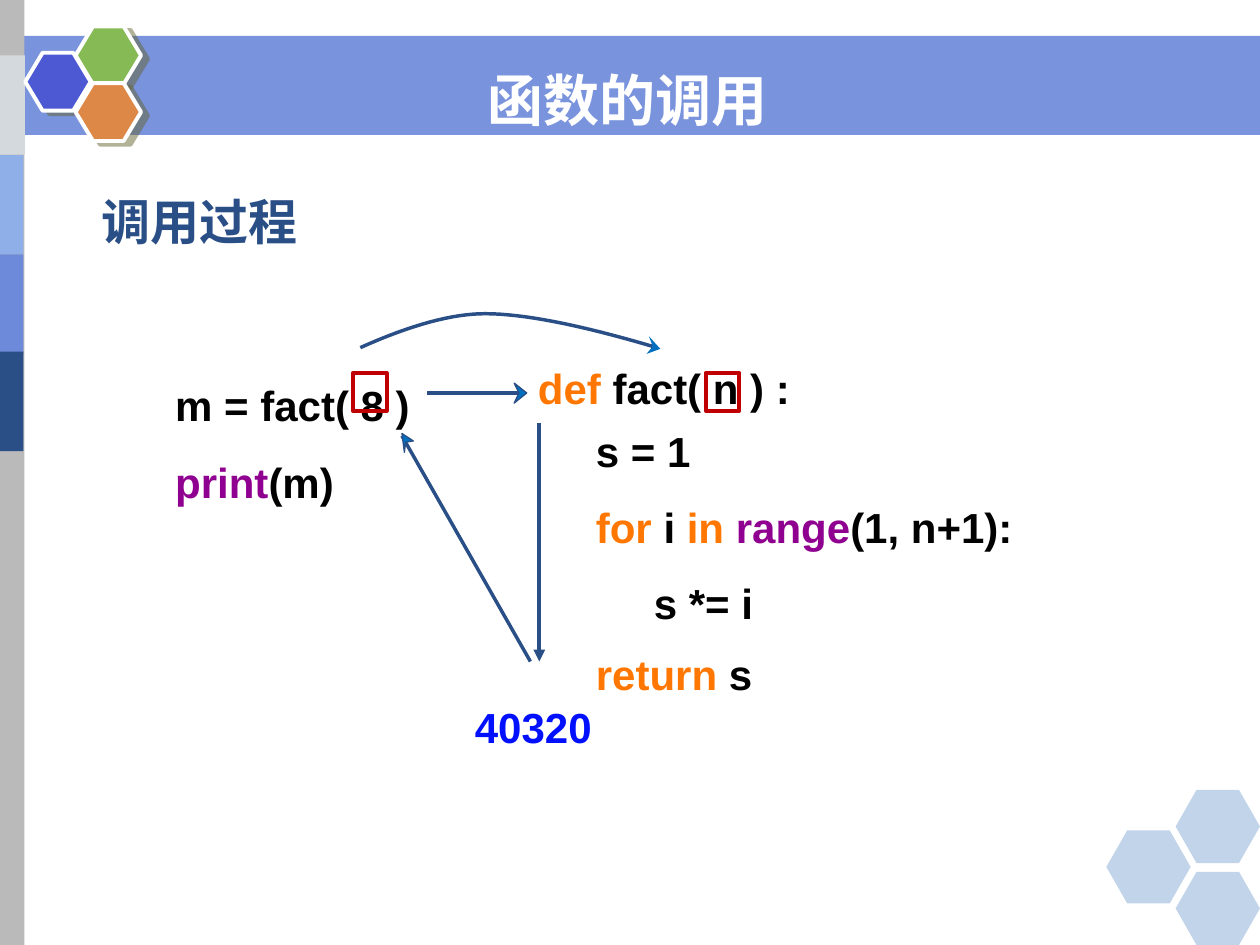
from lxml.etree import SubElement
from pptx import Presentation
from pptx.dml.color import RGBColor
from pptx.enum.shapes import MSO_CONNECTOR, MSO_SHAPE
from pptx.enum.text import MSO_ANCHOR, PP_ALIGN
from pptx.oxml.ns import qn
from pptx.util import Pt

# Content: paragraphs are (runs, format); runs are (text, colour)
NAVY, BLUE, BLACK, WHITE = "2A4F86", "006FC0", "000000", "FFFFFF"
KEYWORD, BUILTIN = "FF7700", "900090"
TITLE = [([("函数的调用", WHITE)], {})]
HEADING = [([("调用过程", NAVY)], {})]
CALLER = [
    ([("m = fact( 8 )", BLACK)], {"line": 1.5}),
    ([("print", BUILTIN), ("(m)", BLACK)], {"line": 1.5, "before": 1}),
]
SIGNATURE = [([("def ", KEYWORD), ("fact( n ) :", BLACK)], {})]
BODY = [
    ([("s = 1", BLACK)], {}),
    ([("for ", KEYWORD), ("i ", BLACK), ("in ", KEYWORD), ("range", BUILTIN),
      ("(1, n+1):", BLACK)], {"line": 1.5}),
    ([("s *= i", BLACK)], {"line": 1.5, "indent": 33.8}),
    ([("return ", KEYWORD), ("s", BLACK)], {"before": 12}),
]
RESULT = [([("40320", "0010FF")], {})]

# Paragraphs, box (left, top, width, height), top inset
CODE_BOXES = [
    (SIGNATURE, (306.7, 206.6, 153.4, 30.2), 0.7),
    (BODY, (339.8, 230.4, 255.6, 170.6), 13),
    (CALLER, (99.4, 201.6, 142.6, 83.5), 0.7),
    (RESULT, (270.7, 400.3, 72, 30.2), 0.7),
]

# Decoration: box, colour, opacity
BANDS = [
    ((0, 20.5, 720, 56.7), "6C89DA", 91),
    ((-1, 0, 15, 540), "BABABA", 100),
    ((0, 31.7, 14.2, 56.7), "D3D9DD", 100),
    ((-1, 88.6, 14.4, 56.7), "8FAFE9", 100),
    ((-1, 145.4, 14.4, 56.7), "6C89DA", 100),
    ((-1, 200.9, 14.4, 56.9), NAVY, 100),
]
BADGES = [(14.4, 30.2, "4C59D2"), (43.2, 15.1, "85BA54"), (43.2, 47.5, "DE8848")]
CORNER = [(632.2, 474.5), (671.8, 451.4), (671.8, 498.2)]

# Arrows: line ends, head outline, head border
ARGUMENT_BOXES = [201.6, 403.2]
CURVES = [
    ((205.9, 198.7), (249.1, 179.3), (277.2, 179.3)),
    ((277.2, 179.3), (309.6, 179.3), (373, 198)),
]
STRAIGHT = [
    ((244.1, 224.6), (296.6, 224.6)),
    ((303.1, 378), (229.7, 249.1)),
]
HEADS = [
    ([(293.8, 218.9), (296.6, 224.6), (293.8, 230.4), (301, 224.6)], NAVY),
    ([(370.8, 192.2), (373, 198), (369.4, 202.3), (377.3, 199.4)], None),
    ([(229.7, 247.7), (231.1, 258.5), (231.8, 252.7), (236.2, 252)], NAVY),
]


def paint(shape, fill=None, line=None, width=0.75, opacity=100):
    shape.shadow.inherit = False
    if fill:
        shape.fill.solid()
        shape.fill.fore_color.rgb = RGBColor.from_string(fill)
        if opacity < 100:
            color = shape._element.spPr.find(qn("a:solidFill"))[0]
            SubElement(color, qn("a:alpha"), val=str(opacity * 1000))
    else:
        shape.fill.background()
    if line:
        shape.line.color.rgb = RGBColor.from_string(line)
        shape.line.width = Pt(width)
    else:
        shape.line.fill.background()


def add_preset(kind, box, **style):
    shape = slide.shapes.add_shape(kind, *map(Pt, box))
    paint(shape, **style)
    return shape


def add_outline(points, close, **style):
    start, *rest = [(Pt(x), Pt(y)) for x, y in points]
    builder = slide.shapes.build_freeform(*start)
    builder.add_line_segments(rest, close=close)
    paint(builder.convert_to_shape(), **style)


def add_line(start, end, width, arrow=False):
    line = slide.shapes.add_connector(
        MSO_CONNECTOR.STRAIGHT, *map(Pt, (*start, *end)))
    line.line.color.rgb = RGBColor.from_string(NAVY)
    line.line.width = Pt(width)
    if arrow:
        SubElement(line.line._get_or_add_ln(), qn("a:tailEnd"), type="triangle")
    SubElement(line._element.spPr, qn("a:effectLst"))


def set_text(shape, paragraphs, size=24, font="Arial", insets=(7.2, 3.6, 7.2, 3.6),
             align=PP_ALIGN.LEFT, anchor=MSO_ANCHOR.TOP):
    frame = shape.text_frame
    frame.word_wrap, frame.vertical_anchor = True, anchor
    (frame.margin_left, frame.margin_top,
     frame.margin_right, frame.margin_bottom) = map(Pt, insets)
    for index, (runs, layout) in enumerate(paragraphs):
        paragraph = frame.add_paragraph() if index else frame.paragraphs[0]
        paragraph.alignment = align
        paragraph.line_spacing = layout.get("line", 1.0)
        paragraph.space_before = Pt(layout.get("before", 0))
        paragraph._p.get_or_add_pPr().set("marL", str(Pt(layout.get("indent", 0.7))))
        for text, color in runs:
            run = paragraph.add_run()
            run.text = text
            run.font.size, run.font.name, run.font.bold = Pt(size), font, True
            run.font.color.rgb = RGBColor.from_string(color)
            SubElement(run._r.rPr, qn("a:ea"), typeface="Noto Sans CJK SC")


def quadratic(start, control, end, steps=16):
    for step in range(steps + 1):
        t = step / steps
        yield tuple((1 - t) ** 2 * a + 2 * t * (1 - t) * b + t ** 2 * c
                    for a, b, c in zip(start, control, end))


presentation = Presentation()
presentation.slide_width, presentation.slide_height = Pt(720), Pt(540)
slide = presentation.slides.add_slide(presentation.slide_layouts[5])

# Banner, side strip and hexagons
for box, color, opacity in BANDS:
    add_preset(MSO_SHAPE.RECTANGLE, box, fill=color, opacity=opacity)
for left, top, color in BADGES:
    badge = add_preset(MSO_SHAPE.HEXAGON, (left, top, 37.4, 33.1),
                       fill=color, line=WHITE, width=2.25)
    badge.adjustments[0] = 0.3
    effects = badge._element.spPr.find(qn("a:effectLst"))
    shadow = SubElement(effects, qn("a:outerShdw"), dist=str(Pt(4.5)),
                        dir=str(27 * 60000), algn="ctr", rotWithShape="0")
    shadow_color = SubElement(shadow, qn("a:srgbClr"), val="666633")
    SubElement(shadow_color, qn("a:alpha"), val="50000")
for left, top in CORNER:
    corner = add_preset(MSO_SHAPE.HEXAGON, (left, top, 48.2, 41.8),
                        fill="5086C2", opacity=35)
    corner.adjustments[0] = 0.286

# Title, raised above the banner, and heading
title = slide.shapes.title
title.left, title.top, title.width, title.height = map(Pt, (-3, 33.8, 723, 46.1))
set_text(title, TITLE, size=32, font="DejaVu Sans",
         align=PP_ALIGN.CENTER, anchor=MSO_ANCHOR.MIDDLE)
slide.shapes._spTree.append(title._element)
heading = slide.shapes.add_textbox(*map(Pt, (50.4, 105.8, 278.6, 143.3)))
set_text(heading, HEADING, size=28, font="Noto Sans CJK SC")

# Code and result
for paragraphs, box, top_inset in CODE_BOXES:
    set_text(slide.shapes.add_textbox(*map(Pt, box)), paragraphs,
             insets=(0, top_inset, 0, 0))

# Arrows of the call, the argument and the return
for start, end in STRAIGHT:
    add_line(start, end, 1.98)
rise, fall = (list(quadratic(*curve)) for curve in CURVES)
add_outline(rise + fall[1:], False, line=NAVY, width=1.98)
for points, border in HEADS:
    add_outline(points, True, fill=BLUE, line=border)
add_line((308.2, 241.9), (308.2, 378), 2.25, arrow=True)

# Frames around the argument and the parameter
for left in ARGUMENT_BOXES:
    add_preset(MSO_SHAPE.RECTANGLE, (left, 213.1, 19.4, 21.6),
               line="C00000", width=2.25)

presentation.save("out.pptx")
